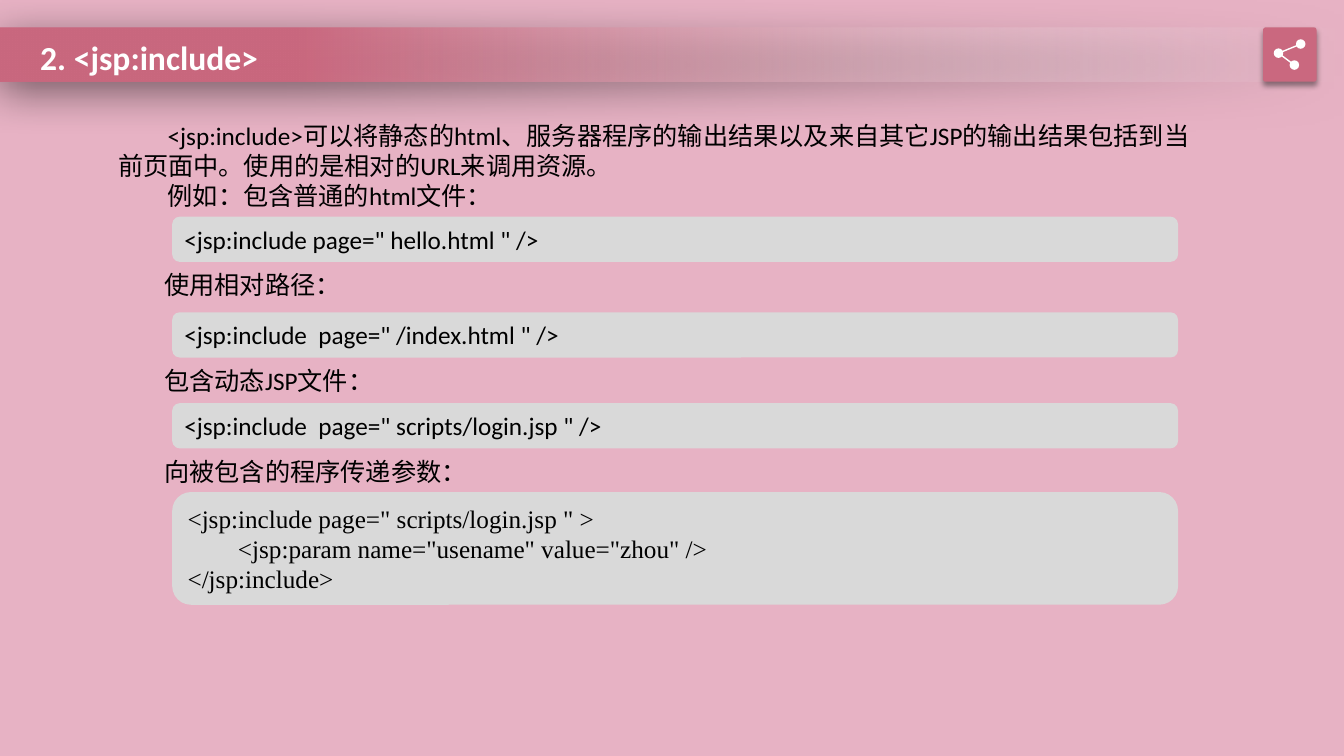
"""Builds one slide on the jsp:include tag."""
from dataclasses import dataclass
from lxml.etree import SubElement as Sub
from pptx import Presentation
from pptx.dml.color import RGBColor as Rgb
from pptx.enum.shapes import MSO_CONNECTOR as Link, MSO_SHAPE as Form
from pptx.enum.text import MSO_ANCHOR as Anchor, MSO_AUTO_SIZE as Auto, PP_ALIGN as Align
from pptx.oxml.ns import qn
from pptx.util import Cm, Pt


@dataclass(frozen=True)
class Theme:
    back: str = "E7B2C4"
    rose: str = "CA687F"
    pale: str = "F7FAFD"
    grey: str = "D9D9D9"
    white: str = "FFFFFF"
    black: str = "000000"
    sans: str = "Calibri"
    serif: str = "Times New Roman"
    head: int = 24
    text: int = 18


def apply(item, style):
    for key, value in style.items():
        setattr(item, key, value)


def place(item, box):
    apply(item, dict(zip(("left", "top", "width", "height"), map(Cm, box))))


class Page:
    def __init__(self, deck, theme):
        self.theme = theme
        self.slide = deck.slides.add_slide(deck.slide_layouts[1])
        self.shapes = self.slide.shapes
        self.paint(self.slide.background.fill, theme.back)

    def paint(self, fill, color):
        fill.solid()
        fill.fore_color.rgb = Rgb.from_string(color)

    def letter(self, item, lines, frame=(), para=(), font=()):
        theme, body = self.theme, item.text_frame
        body.text = "\n".join(lines)
        apply(body, {"word_wrap": True, "auto_size": Auto.NONE,
                     "vertical_anchor": Anchor.TOP, **dict(frame)})
        look = {"name": theme.sans, "size": Pt(theme.text), "bold": False, **dict(font)}
        color = look.pop("color", theme.black)
        for row in body.paragraphs:
            apply(row, {"alignment": Align.LEFT, **dict(para)})
            for run in row.runs:
                apply(run.font, look)
                run.font.color.rgb = Rgb.from_string(color)

    def shape(self, form, box, color):
        item = self.shapes.add_shape(form, *map(Cm, box))
        item.shadow.inherit = False
        item.line.fill.background()
        self.paint(item.fill, color)
        return item

    def shade(self, item, alpha, blur, dist, angle):
        glow = Sub(item._element.spPr.find(qn("a:effectLst")), qn("a:outerShdw"),
                   blurRad=str(Pt(blur)), dist=str(Pt(dist)),
                   dir=str(angle * 60000), algn="ctr", rotWithShape="0")
        tone = Sub(glow, qn("a:srgbClr"), val=self.theme.black)
        Sub(tone, qn("a:alpha"), val=str(alpha * 1000))

    def band(self, box):
        item = self.shape(Form.RECTANGLE, box, self.theme.rose)
        item.fill.gradient()
        item.fill.gradient_angle = 180
        stops = zip(item.fill.gradient_stops, (0, 0.78), (self.theme.pale, self.theme.rose))
        for stop, spot, color in stops:
            stop.position = spot
            stop.color.rgb = Rgb.from_string(color)
        Sub(item._element.spPr.find(".//" + qn("a:srgbClr")), qn("a:alpha"), val="0")
        self.shade(item, 50, 31, 6, 97)

    def badge(self, box, hub, ends, size):
        tile = self.shape(Form.ROUNDED_RECTANGLE, box, self.theme.rose)
        tile.adjustments[0] = 0.05
        self.shade(tile, 40, 4, 3, 90)
        for end in ends:
            self.line(hub, end)
        for x, y in (hub, *ends):
            self.shape(Form.OVAL, (x - size / 2, y - size / 2, size, size), self.theme.white)

    def line(self, start, end):
        item = self.shapes.add_connector(Link.STRAIGHT, *map(Cm, (*start, *end)))
        item.line.width = Pt(1)
        item.line.color.rgb = Rgb.from_string(self.theme.white)
        Sub(item._element.spPr, qn("a:effectLst"))

    def title(self, box, text):
        item = self.shapes.title
        place(item, box)
        self.letter(item, [text], font={"size": Pt(self.theme.head), "bold": True,
                                        "color": self.theme.white})
        self.shapes._spTree.append(item._element)

    def intro(self, box, lines):
        item = self.slide.placeholders[1]
        place(item, box)
        self.letter(item, lines, para={"space_before": Pt(0)})
        for row in item.text_frame.paragraphs:
            props = row._p.get_or_add_pPr()
            props.set("marL", "0")
            props.set("indent", str(Cm(1.25)))
            Sub(props, qn("a:buNone"))
        self.shapes._spTree.append(item._element)

    def label(self, box, text):
        item = self.shapes.add_textbox(*map(Cm, box))
        self.letter(item, [text], frame={"word_wrap": False})

    def code(self, box, lines, para=(), font=()):
        item = self.shape(Form.ROUNDED_RECTANGLE, box, self.theme.grey)
        self.letter(item, lines, {"vertical_anchor": Anchor.MIDDLE}, para, font)


def main():
    deck = Presentation()
    apply(deck, {"slide_width": Cm(33.87), "slide_height": Cm(19.05)})
    theme = Theme()
    page = Page(deck, theme)
    page.band((0, 0.71, 33.87, 1.35))
    page.badge((31.83, 0.69, 1.35, 1.37), (32.22, 1.34),
               ((32.78, 1.11), (32.62, 1.64)), 0.24)
    page.title((0.76, 0.79, 10.31, 1.27), "2. <jsp:include>")
    page.intro((2.72, 2.9, 27.61, 2.57), [
        "<jsp:include>可以将静态的html、服务器程序的输出结果以及来自其它JSP的输出结果"
        "包括到当前页面中。使用的是相对的URL来调用资源。",
        "例如：包含普通的html文件："])
    for top, text in ((5.46, '<jsp:include page=" hello.html " />'),
                      (7.87, '<jsp:include  page=" /index.html " />'),
                      (10.16, '<jsp:include  page=" scripts/login.jsp " />')):
        page.code((4.34, top, 25.35, 1.14), [text])
    for top, wide, text in ((6.65, 5, "使用相对路径："),
                            (9.07, 5.84, "包含动态JSP文件："),
                            (11.38, 8.2, "向被包含的程序传递参数：")):
        page.label((3.89, top, wide, 1.02), text)
    page.code((4.34, 12.4, 25.35, 2.84), [
        '<jsp:include page=" scripts/login.jsp " >',
        '\t<jsp:param name="usename" value="zhou" />',
        "</jsp:include>"], {"alignment": Align.JUSTIFY}, {"name": theme.serif})
    deck.save("out.pptx")


if __name__ == "__main__":
    main()
